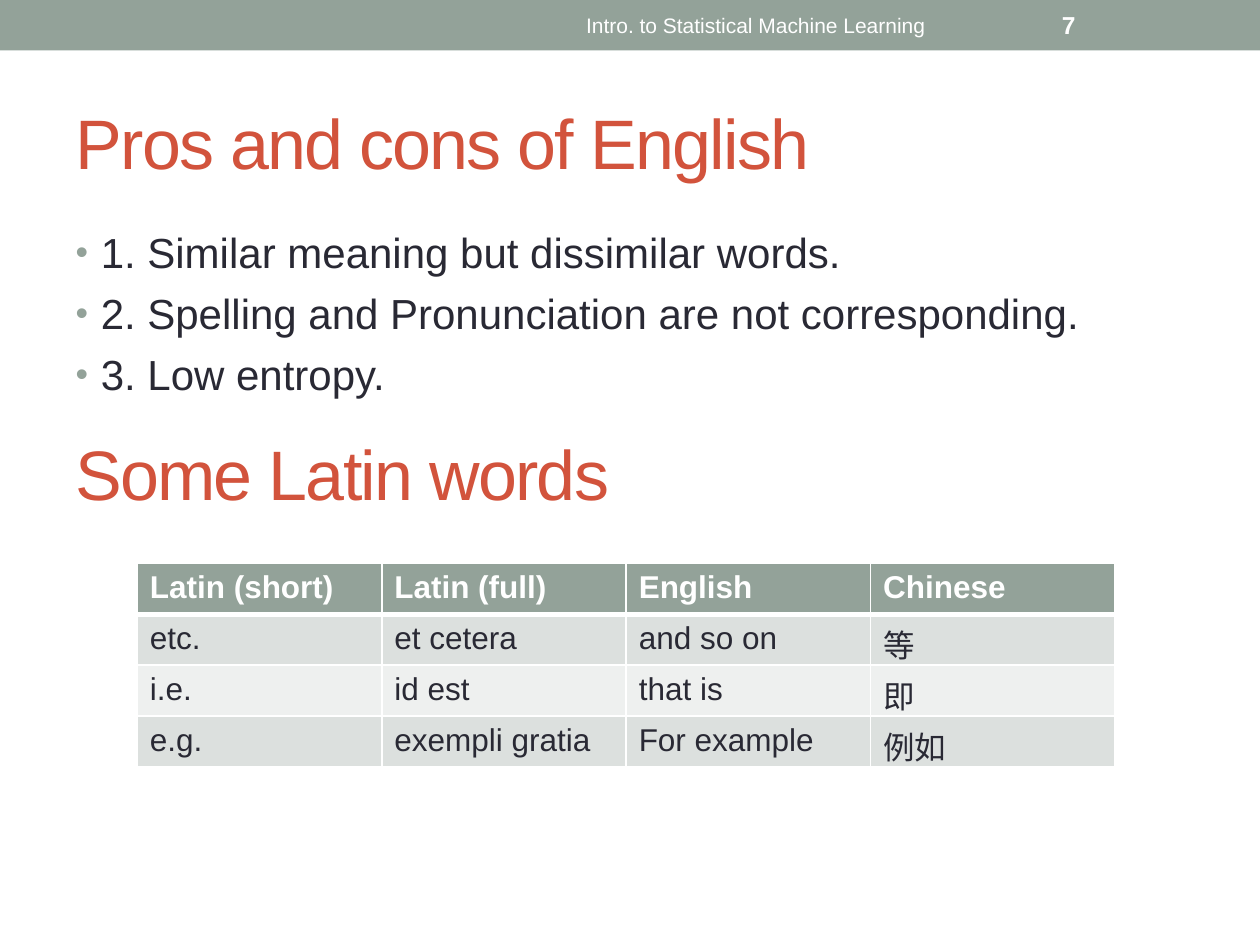
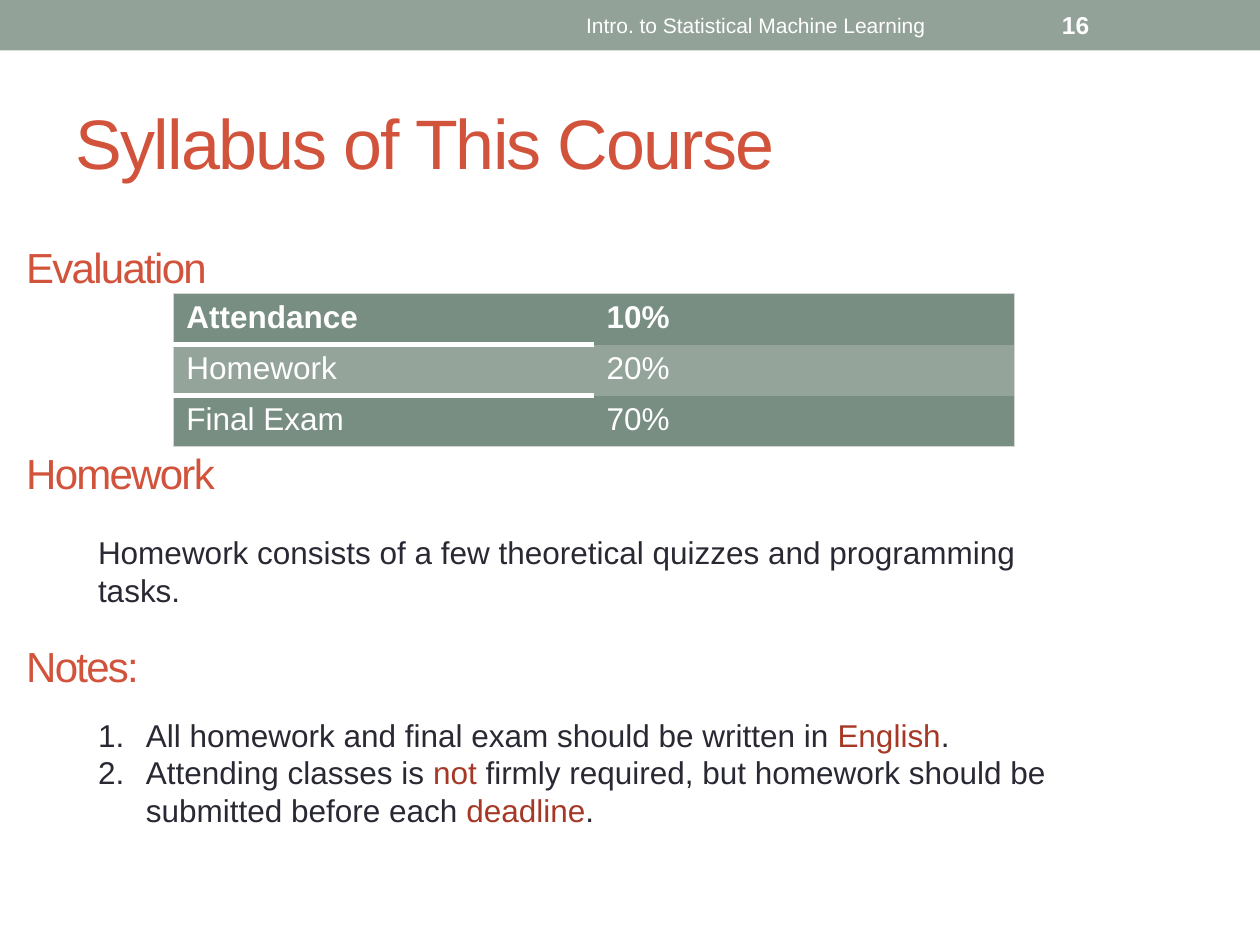
from lxml.etree import SubElement
from pptx import Presentation
from pptx.dml.color import RGBColor
from pptx.enum.shapes import MSO_SHAPE
from pptx.enum.text import MSO_ANCHOR, MSO_AUTO_SIZE, PP_ALIGN
from pptx.oxml.ns import qn
from pptx.util import Inches, Pt

COLORS = {
    "band": "93A299",
    "heading": "D2533C",
    "ink": "292934",
    "accent": "A53926",
    "white": "FFFFFF",
    "row_dark": "DCE0DE",
    "row_light": "EEF0EF",
    "grade_dark": "798E82",
    "grade_light": "95A49B",
    "grade_edge": "D2D7D4",
}
FONT = "Arial"
COURSE = "Intro. to Statistical Machine Learning"
NO_GRID_STYLE = "{2D5ABB26-0587-4C30-8999-92F81FD0307C}"
TITLE_AND_CONTENT, TITLE_ONLY = 1, 5


def rgb(name):
    return RGBColor.from_string(COLORS[name])


def set_indent(paragraph, inches):
    """Give a hanging indent and return the properties for bullet elements."""
    properties = paragraph._p.get_or_add_pPr()
    properties.set("marL", str(Inches(inches)))
    properties.set("indent", str(-Inches(inches)))
    return properties


def set_borders(cell, borders):
    """Draw borders given as {side: (colour name, points)}, before any fill."""
    properties = cell._tc.get_or_add_tcPr()
    for side in "LRTB":
        if side in borders:
            color, points = borders[side]
            line = SubElement(properties, qn(f"a:ln{side}"), w=str(Pt(points)))
            fill = SubElement(line, qn("a:solidFill"))
            SubElement(fill, qn("a:srgbClr"), val=COLORS[color])


class Deck:
    def __init__(self):
        self.presentation = Presentation()
        self.presentation.slide_width = Inches(10)
        self.presentation.slide_height = Inches(7.5)
        self.slide = None

    def style(self, paragraph, size, color="ink", bold=False):
        font = paragraph.font
        font.name, font.size, font.bold = FONT, Pt(size), bold
        font.color.rgb = rgb(color)

    def new_slide(self, layout, title, number):
        layouts = self.presentation.slide_layouts
        self.slide = self.presentation.slides.add_slide(layouts[layout])
        band = self.slide.shapes.add_shape(
            MSO_SHAPE.RECTANGLE, 0, 0, Inches(10), Inches(0.4))
        band.shadow.inherit = False
        band.fill.solid()
        band.fill.fore_color.rgb = rgb("band")
        band.line.fill.background()

        heading = self.slide.shapes.title
        self.place(heading, 0.5, 0.58, 9, 1.08)
        self.heading(heading.text_frame, title, 40)
        for text, left, width, size, bold, align in (
            (COURSE, 3.75, 4.5, 12, False, PP_ALIGN.CENTER),
            (str(number), 8.33, 1.17, 14, True, PP_ALIGN.LEFT),
        ):
            frame = self.text_frame(left, 0.02, width, 0.36)
            frame.vertical_anchor = MSO_ANCHOR.MIDDLE
            frame.text = text
            frame.paragraphs[0].alignment = align
            self.style(frame.paragraphs[0], size, "white", bold)

    def place(self, shape, left, top, width, height):
        shape.left, shape.top = Inches(left), Inches(top)
        shape.width, shape.height = Inches(width), Inches(height)

    def text_frame(self, left, top, width, height):
        box = self.slide.shapes.add_textbox(
            Inches(left), Inches(top), Inches(width), Inches(height))
        box.text_frame.word_wrap = True
        return box.text_frame

    def heading(self, frame, text, size):
        frame.text = text
        frame.auto_size = MSO_AUTO_SIZE.NONE
        frame.vertical_anchor = MSO_ANCHOR.MIDDLE
        paragraph = frame.paragraphs[0]
        paragraph.alignment = PP_ALIGN.LEFT
        self.style(paragraph, size, "heading")
        paragraph.runs[0]._r.get_or_add_rPr().set("spc", "-100")

    def bullets(self, items, left, top, width, height):
        body = self.slide.placeholders[1]
        self.place(body, left, top, width, height)
        frame = body.text_frame
        frame.text = "\n".join(items)
        frame.auto_size = MSO_AUTO_SIZE.NONE
        for index, paragraph in enumerate(frame.paragraphs):
            paragraph.space_before = Pt(6 if index else 0)
            properties = set_indent(paragraph, 0.2)
            bullet_color = SubElement(properties, qn("a:buClr"))
            SubElement(bullet_color, qn("a:srgbClr"), val=COLORS["band"])
            SubElement(properties, qn("a:buSzPct"), val="85000")
            SubElement(properties, qn("a:buFont"), typeface=FONT)
            SubElement(properties, qn("a:buChar"), char="•")
            self.style(paragraph, 24)

    def numbered(self, items, left, top, width, height):
        """Add a numbered list; each item is a list of (text, colour name)."""
        frame = self.text_frame(left, top, width, height)
        for index, item in enumerate(items):
            paragraph = frame.add_paragraph() if index else frame.paragraphs[0]
            properties = set_indent(paragraph, 0.38)
            SubElement(properties, qn("a:buFont"), typeface=FONT)
            SubElement(properties, qn("a:buAutoNum"), type="arabicPeriod")
            self.style(paragraph, 18)
            for text, color in item:
                run = paragraph.add_run()
                run.text = text
                run.font.color.rgb = rgb(color)

    def table(self, rows, left, top, width, fills, inks, borders_at):
        """Add a table; fills and inks hold one colour name per row."""
        table = self.slide.shapes.add_table(
            len(rows), len(rows[0]), Inches(left), Inches(top),
            Inches(width), Inches(0.405 * len(rows))).table
        table._tbl.tblPr.find(qn("a:tableStyleId")).text = NO_GRID_STYLE
        for r, row in enumerate(rows):
            for c, text in enumerate(row):
                cell = table.cell(r, c)
                set_borders(cell, borders_at(r, c))
                cell.fill.solid()
                cell.fill.fore_color.rgb = rgb(fills[r])
                cell.text = text
                self.style(cell.text_frame.paragraphs[0], 18, inks[r], r == 0)


def add_english_slide(deck):
    deck.new_slide(TITLE_AND_CONTENT, "Pros and cons of English", 7)
    deck.bullets([
        "1. Similar meaning but dissimilar words.",
        "2. Spelling and Pronunciation are not corresponding.",
        "3. Low entropy.",
    ], 0.5, 1.75, 9, 1.55)
    deck.heading(deck.text_frame(0.5, 3.21, 9, 1.08), "Some Latin words", 40)

    def white_grid(row, column):
        return {
            "L": ("white", 1),
            "R": ("white", 1),
            "T": ("white", 3 if row == 1 else 1),
            "B": ("white", 3 if row == 0 else 1),
        }

    latin_words = [
        ("Latin (short)", "Latin (full)", "English", "Chinese"),
        ("etc.", "et cetera", "and so on", "等"),
        ("i.e.", "id est", "that is", "即"),
        ("e.g.", "exempli gratia", "For example", "例如"),
    ]
    deck.table(latin_words, 1.09, 4.47, 7.76,
               ["band", "row_dark", "row_light", "row_dark"],
               ["white", "ink", "ink", "ink"], white_grid)


def add_syllabus_slide(deck):
    deck.new_slide(TITLE_ONLY, "Syllabus of This Course", 16)
    grades = [("Attendance", "10%"), ("Homework", "20%"), ("Final Exam", "70%")]

    def outer_edge(row, column):
        edge = ("grade_edge", 0.75)
        borders = {"R" if column else "L": edge}
        if row == 0:
            borders["T"] = edge
        if row == len(grades) - 1:
            borders["B"] = edge
        if (row, column) == (0, 0):
            borders["B"] = ("white", 3.5)
        if (row, column) == (1, 0):
            borders["T"] = ("white", 3.5)
        return borders

    deck.table(grades, 1.38, 2.33, 6.67,
               ["grade_dark", "grade_light", "grade_dark"],
               ["white"] * 3, outer_edge)
    for section, top in (("Evaluation", 1.87), ("Homework", 3.5), ("Notes:", 5.03)):
        deck.heading(deck.text_frame(0.11, top, 2, 0.5), section, 24)

    homework = deck.text_frame(0.68, 4.18, 8.06, 1.01)
    homework.text = ("Homework consists of a few theoretical quizzes "
                     "and programming tasks.")
    deck.style(homework.paragraphs[0], 18)
    deck.numbered([
        [("All homework and final exam should be written in ", "ink"),
         ("English", "accent"), (".", "ink")],
        [("Attending classes is ", "ink"), ("not ", "accent"),
         ("firmly required, but homework should be submitted before each ", "ink"),
         ("deadline", "accent"), (".", "ink")],
    ], 0.68, 5.63, 8.06, 1.31)


def main():
    deck = Deck()
    add_english_slide(deck)
    add_syllabus_slide(deck)
    deck.presentation.save("out.pptx")


if __name__ == "__main__":
    main()
